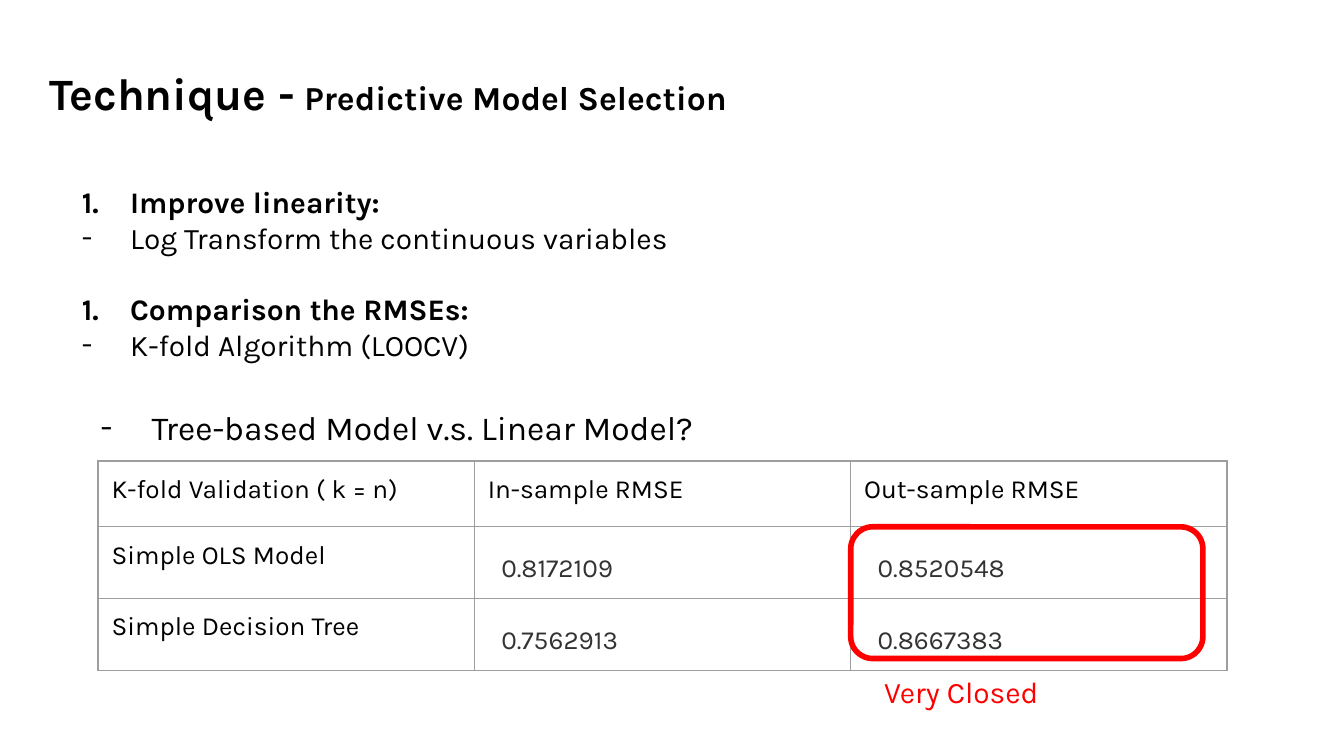
from pptx import Presentation
from pptx.dml.color import RGBColor as Rgb
from pptx.enum.shapes import MSO_SHAPE as Shape
from pptx.oxml import parse_xml
from pptx.util import Inches, Pt

HUES = {"ink": "000000", "value": "333333", "red": "FF0000",
        "grid": "9E9E9E", "paper": "FFFFFF"}
NS = 'xmlns:a="http://schemas.openxmlformats.org/drawingml/2006/main"'
MARKS = {"1.": '<a:buAutoNum {} type="arabicPeriod"/>',
         "-": '<a:buChar {} char="-"/>'}


def style(para, size, hue="ink", bold=False, mark=None, hang=0.36):
    if mark:
        props = para._p.get_or_add_pPr()
        props.set("marL", str(Inches(0.5)))
        props.set("indent", str(-Inches(hang)))
        props.append(parse_xml(f'<a:buFont {NS} typeface="Karla"/>'))
        props.append(parse_xml(MARKS[mark].format(NS)))
    font = para.font
    font.name = "Karla"
    font.size = Pt(size)
    font.bold = bold
    font.color.rgb = Rgb.from_string(HUES[hue])


def add_box(left, top, width, height):
    frame = slide.shapes.add_textbox(*map(Inches, (left, top, width, height))).text_frame
    frame.word_wrap = True
    frame.margin_left = frame.margin_right = Inches(0.1)
    frame.margin_top = frame.margin_bottom = Inches(0.1)
    return frame


deck = Presentation()
deck.slide_width = Inches(10)
deck.slide_height = deck.slide_width * 9 // 16
slide = deck.slides.add_slide(deck.slide_layouts[6])

title = add_box(0.27, 0.33, 9.32, 0.63).paragraphs[0]
title.line_spacing = 1.15
style(title, 24, bold=True)
for text, size in [("Technique -", 24), (" ", 20), ("Predictive Model Selection", 18)]:
    run = title.add_run()
    run.text = text
    run.font.size = Pt(size)

steps = [
    ("1.", "Improve linearity:"),
    ("-", "Log Transform the continuous variables"),
    ("1.", "Comparison the RMSEs:"),
    ("-", "K-fold Algorithm (LOOCV)"),
]
frame = add_box(0.37, 1.27, 8.32, 1.55)
for i, (mark, text) in enumerate(steps):
    para = frame.paragraphs[0] if i == 0 else frame.add_paragraph()
    para.text = text
    style(para, 16, bold=mark == "1.", mark=mark)
    if i and mark == "1.":
        para.space_before = Pt(18.75)

rows = [
    ("K-fold Validation ( k = n)", "In-sample RMSE", "Out-sample RMSE"),
    ("Simple OLS Model", "0.8172109", "0.8520548"),
    ("Simple Decision Tree", "0.7562913", "0.8667383"),
]
heights = [0.49, 0.53, 0.53]
table = slide.shapes.add_table(3, 3, Inches(0.73), Inches(3.43),
                               Inches(8.4), Inches(sum(heights))).table
for r, row in enumerate(rows):
    table.rows[r].height = Inches(heights[r])
    for c, text in enumerate(row):
        cell = table.cell(r, c)
        cell.margin_left = cell.margin_right = Inches(0.1)
        cell.margin_top = cell.margin_bottom = Inches(0.1)
        para = cell.text_frame.paragraphs[0]
        para.text = text
        number = r > 0 and c > 0
        style(para, 14, "value" if number else "ink")
        if number:
            para._p.get_or_add_pPr().set("marL", str(Inches(0.1)))
            para.line_spacing = 1.43
            para.space_after = Pt(8)
        props = cell._tc.get_or_add_tcPr()
        for side in "LRTB":
            props.append(parse_xml(
                f'<a:ln{side} {NS} w="{Pt(0.75)}"><a:solidFill>'
                f'<a:srgbClr val="{HUES["grid"]}"/></a:solidFill></a:ln{side}>'))
        cell.fill.solid()
        cell.fill.fore_color.rgb = Rgb.from_string(HUES["paper"])

para = add_box(0.53, 2.93, 5.14, 0.5).paragraphs[0]
para.text = "Tree-based Model v.s. Linear Model?"
style(para, 18, mark="-", hang=0.38)

ring = slide.shapes.add_shape(Shape.ROUNDED_RECTANGLE, Inches(6.33), Inches(3.92),
                              Inches(2.62), Inches(0.98))
ring.shadow.inherit = False
ring.fill.background()
ring.line.color.rgb = Rgb.from_string(HUES["red"])
ring.line.width = Pt(3)

para = add_box(6.48, 4.91, 1.82, 0.47).paragraphs[0]
para.text = "Very Closed"
style(para, 16, "red")

deck.save("out.pptx")
